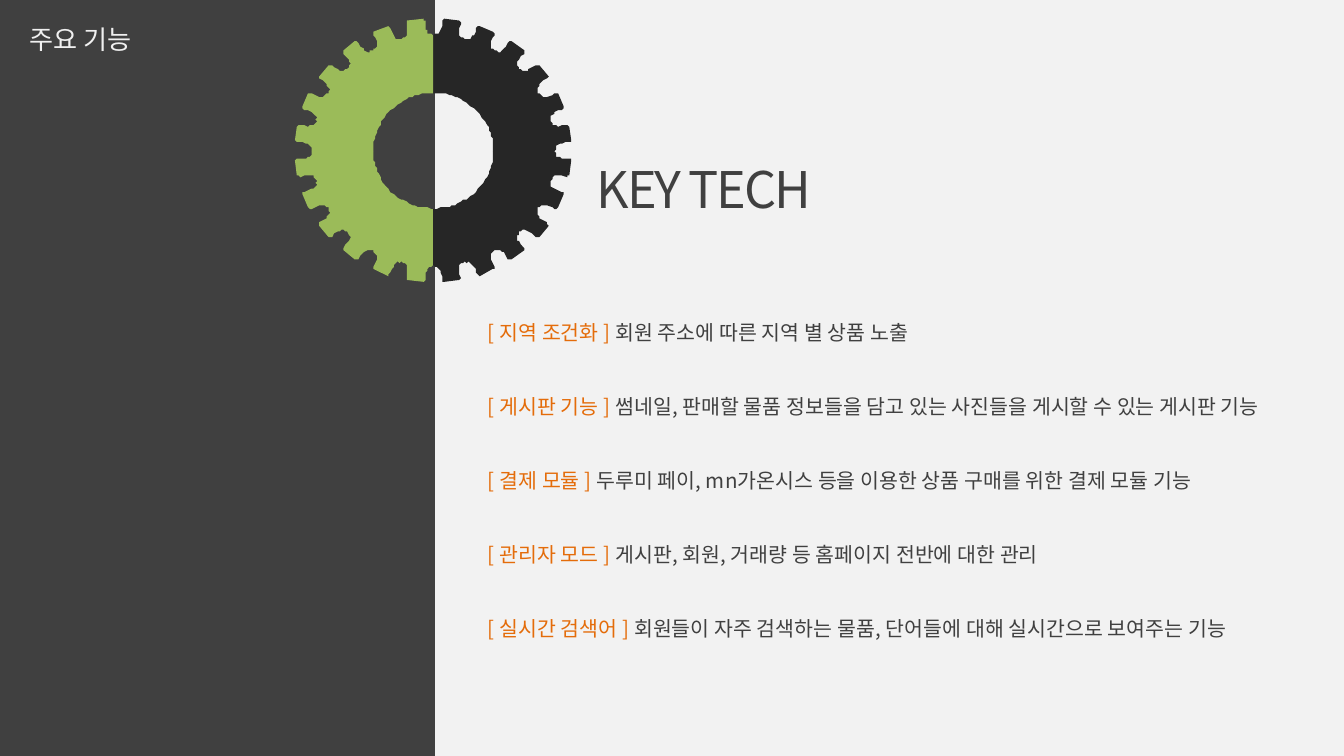
"""Build the key technology slide with a two-tone gear and a feature list."""
from math import cos, radians, sin

from lxml.etree import SubElement
from pptx import Presentation
from pptx.dml.color import RGBColor
from pptx.enum.shapes import MSO_SHAPE
from pptx.enum.text import MSO_ANCHOR, MSO_AUTO_SIZE, PP_ALIGN
from pptx.oxml.ns import qn
from pptx.util import Pt

FONT = "Noto Sans CJK KR"
DARK, ORANGE, GREEN, BLACK = "404040", "E46C0A", "9BBB59", "262626"


def paint(fill, color):
    fill.solid()
    fill.fore_color.rgb = RGBColor.from_string(color)


def write(paragraph, text, size, color, line, spacing=None):
    paragraph.alignment = PP_ALIGN.LEFT
    paragraph.line_spacing = Pt(line)
    run = paragraph.add_run()
    run.text = text
    run.font.size = Pt(size)
    run.font.name = FONT
    paint(run.font.fill, color)
    properties = run.font._element
    SubElement(properties, qn("a:ea"), typeface=FONT)
    if spacing:
        properties.set("spc", str(spacing))


presentation = Presentation()
presentation.slide_width, presentation.slide_height = Pt(720), Pt(405)
slide = presentation.slides.add_slide(presentation.slide_layouts[1])
paint(slide.background.fill, "F2F2F2")

panel = slide.shapes.add_shape(MSO_SHAPE.RECTANGLE, 0, 0, Pt(233), Pt(405))
panel.shadow.inherit = False
paint(panel.fill, DARK)
panel.line.fill.background()
slide.shapes._spTree.insert(2, panel._element)

center_x, center_y = 232.2, 80.7
radius_x, radius_y = 74.4, 70.8
hole_x, hole_y = 32.2, 30.9
half_tooth = [(0, 0.87), (1, 0.88), (1.9, 0.88), (2.6, 0.89), (3.1, 0.91), (3.4, 0.92),
              (3.6, 0.95), (3.5, 0.98), (3.8, 0.99), (4.3, 1)]
tooth = half_tooth + [(15 - angle, reach) for angle, reach in reversed(half_tooth)]
for start, color in [(0, BLACK), (90, GREEN), (180, GREEN), (270, BLACK)]:
    outline = []
    for tooth_start in range(start, start + 90, 15):
        for angle, reach in tooth:
            turn = radians(tooth_start + angle)
            outline.append((center_x + radius_x * reach * cos(turn),
                            center_y - radius_y * reach * sin(turn)))
    for angle in range(start + 90, start - 1, -3):
        turn = radians(angle)
        outline.append((center_x + hole_x * cos(turn), center_y - hole_y * sin(turn)))
    builder = slide.shapes.build_freeform(*outline[0], scale=Pt(1))
    builder.add_line_segments(outline[1:])
    quarter = builder.convert_to_shape()
    quarter.shadow.inherit = False
    paint(quarter.fill, color)
    quarter.line.fill.background()

section = slide.shapes.title
features = slide.placeholders[1]
headline = slide.shapes.add_textbox(0, 0, Pt(1), Pt(1))
for box, left, top, width, height, inset_x, inset_y in [
    (section, 10.8, 8.6, 185, 22.3, 5, 2.9),
    (headline, 314.6, 79.2, 306.7, 38.2, 5, 2.9),
    (features, 257.8, 162.7, 453.6, 183.6, 3.6, 2.2),
]:
    box.left, box.top, box.width, box.height = Pt(left), Pt(top), Pt(width), Pt(height)
    frame = box.text_frame
    frame.word_wrap = True
    frame.auto_size = MSO_AUTO_SIZE.NONE
    frame.vertical_anchor = MSO_ANCHOR.TOP
    frame.margin_left = frame.margin_right = Pt(inset_x)
    frame.margin_top = frame.margin_bottom = Pt(inset_y)

write(section.text_frame.paragraphs[0], "주요 기능", size=14, color="F0F0F0", line=17.7)
write(headline.text_frame.paragraphs[0], "KEY TECH", size=27, color=DARK, line=35, spacing=-110)

for index, (label, description) in enumerate([
    ("지역 조건화", "회원 주소에 따른 지역 별 상품 노출"),
    ("게시판 기능", "썸네일, 판매할 물품 정보들을 담고 있는 사진들을 게시할 수 있는 게시판 기능"),
    ("결제 모듈", "두루미 페이, mn가온시스 등을 이용한 상품 구매를 위한 결제 모듈 기능"),
    ("관리자 모드", "게시판, 회원, 거래량 등 홈페이지 전반에 대한 관리"),
    ("실시간 검색어", "회원들이 자주 검색하는 물품, 단어들에 대해 실시간으로 보여주는 기능"),
]):
    frame = features.text_frame
    feature = frame.add_paragraph() if index else frame.paragraphs[0]
    feature.space_before = Pt(19.8 if index else 0)
    write(feature, f"[ {label} ] ", size=11, color=ORANGE, line=19.8)
    write(feature, description, size=11, color=DARK, line=19.8)
    layout = feature._p.get_or_add_pPr()
    layout.set("marL", "0")
    layout.set("indent", "0")
    SubElement(layout, qn("a:buNone"))

presentation.save("out.pptx")
